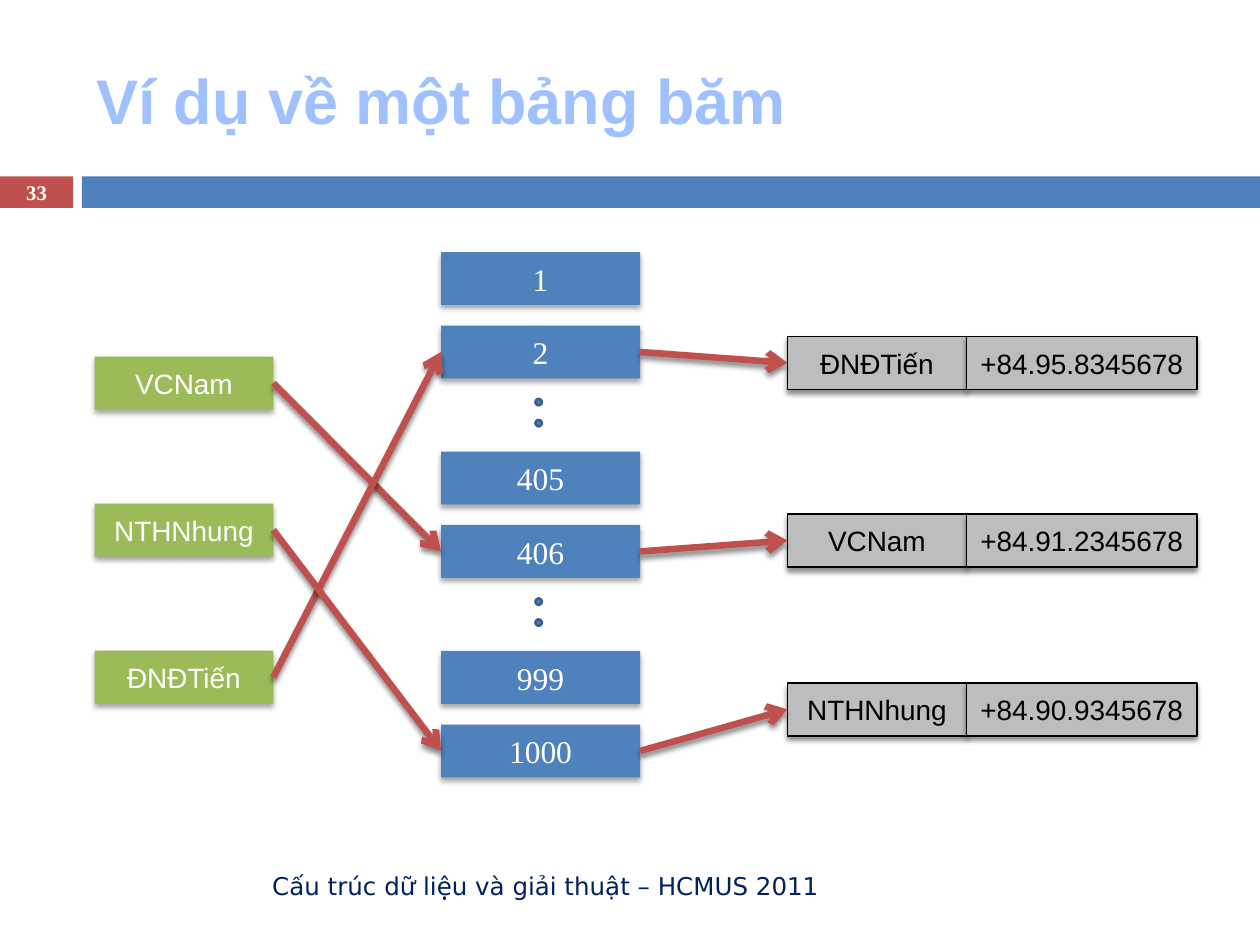
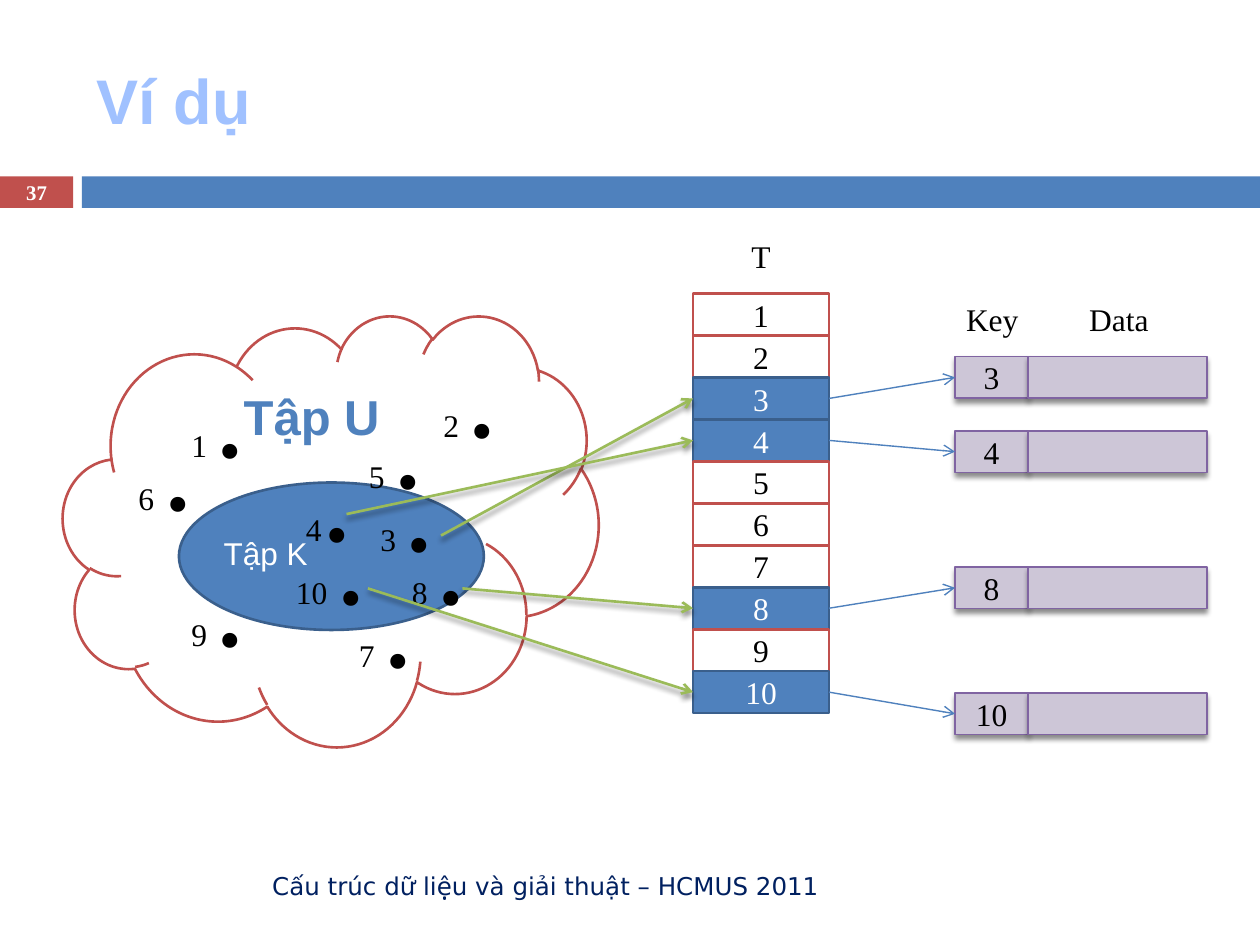
from lxml.etree import SubElement
from pptx import Presentation
from pptx.dml.color import RGBColor
from pptx.enum.shapes import MSO_CONNECTOR as Connector, MSO_SHAPE as Preset
from pptx.enum.text import MSO_ANCHOR as Anchor, PP_ALIGN as Align
from pptx.oxml.ns import qn
from pptx.util import Inches, Pt

COLORS = {
    "blue": "4F81BD", "blue_edge": "3A5F8C", "red": "C0504D", "green": "9BBB59",
    "gray": "BDBDBD", "lilac": "CDC6D7", "purple": "8064A2", "title": "A0C1FF",
    "footer": "002060", "white": "FFFFFF", "black": "000000",
}
SANS, SERIF, FOOTER_FONT = "Arial", "Times New Roman", "DejaVu Sans"
SOFT_SHADOW = {"alpha": 35, "distance": 2}
STRONG_SHADOW = {"alpha": 45, "distance": 2.4}
FOOTER = "Cấu trúc dữ liệu và giải thuật – HCMUS 2011"
RIGHT_SITE, LEFT_SITE = 3, 1
STEP = 1 / 12


def color(name):
    return RGBColor.from_string(COLORS[name])


def assign(target, values):
    for name, value in values.items():
        setattr(target, name, value)


def style(size, ink="black", font=SERIF, bold=False):
    return {"size": size, "ink": ink, "font": font, "bold": bold}


def add_run(paragraph, text, size, ink, font, bold):
    run = paragraph.add_run()
    run.text = text
    assign(run.font, {"size": Pt(size), "name": font, "bold": bold})
    run.font.color.rgb = color(ink)


def write(shape, runs, align=Align.CENTER, **frame_format):
    frame = shape.text_frame
    assign(frame, {"word_wrap": True, "vertical_anchor": Anchor.MIDDLE, **frame_format})
    paragraph = frame.paragraphs[0]
    paragraph.alignment = align
    for text, run_style in runs:
        add_run(paragraph, text, **run_style)


def add_text(slide, box, runs, **options):
    shape = slide.shapes.add_textbox(*map(Inches, box))
    write(shape, runs, **options)


def set_shadow(shape, shadow):
    properties = shape._element.spPr
    effects = properties.find(qn("a:effectLst"))
    if effects is None:
        effects = SubElement(properties, qn("a:effectLst"))
    if shadow:
        outer = SubElement(effects, qn("a:outerShdw"), blurRad=str(Pt(3)),
                           dist=str(Pt(shadow["distance"])), dir="5400000", rotWithShape="0")
        tint = SubElement(outer, qn("a:srgbClr"), val=COLORS["black"])
        SubElement(tint, qn("a:alpha"), val=str(shadow["alpha"] * 1000))


def add_shape(slide, box, fill, edge=None, weight=1.5, preset=Preset.RECTANGLE,
              shadow=None, runs=(), **options):
    shape = slide.shapes.add_shape(preset, *map(Inches, box))
    shape.fill.solid()
    shape.fill.fore_color.rgb = color(fill)
    if edge:
        shape.line.color.rgb = color(edge)
        shape.line.width = Pt(weight)
    else:
        shape.line.fill.background()
    shape.shadow.inherit = False
    set_shadow(shape, shadow)
    if runs:
        write(shape, runs, **options)
    return shape


def add_arrow(slide, target, ink, weight, source=None, start=(0, 0), shadow=None):
    x, y = map(Inches, start)
    arrow = slide.shapes.add_connector(Connector.STRAIGHT, x, y, x, y)
    if source is not None:
        arrow.begin_connect(source, RIGHT_SITE)
    arrow.end_connect(target, LEFT_SITE)
    arrow.line.color.rgb = color(ink)
    arrow.line.width = Pt(weight)
    SubElement(arrow.line._get_or_add_ln(), qn("a:tailEnd"), type="arrow")
    set_shadow(arrow, shadow)


def add_base_slide(presentation, title, number):
    slide = presentation.slides.add_slide(presentation.slide_layouts[6])
    add_shape(slide, (0, 1.4, 0.58, 0.25), "red")
    add_shape(slide, (0.65, 1.4, 9.35, 0.25), "blue")
    add_text(slide, (0.67, 0.25, 8.92, 1.08), [(title, style(36, "title", SANS, True))],
             align=Align.LEFT)
    add_text(slide, (0.67, 6.83, 5.93, 0.4), [(FOOTER, style(14, "footer", FOOTER_FONT))],
             align=Align.RIGHT)
    add_text(slide, (0, 1.39, 0.58, 0.27), [(number, style(11.9, "white", bold=True))])
    return slide


def add_buckets(slide, box, pairs):
    left, top, width, height = box
    group_pitch, pair_pitch = 19 * STEP, 7 * STEP
    buckets = {}
    for index, pair in enumerate(pairs):
        group_top = top + index * group_pitch
        for row, label in enumerate(pair):
            buckets[label] = add_shape(
                slide, (left, group_top + row * pair_pitch, width, height), "blue",
                shadow=SOFT_SHADOW, runs=[(label, style(18, "white"))])
        if index < len(pairs) - 1:
            for row in range(2):
                dot_top = group_top + 14 * STEP + row * 2 * STEP
                add_shape(slide, (left + 0.75, dot_top, 0.05, 0.05), "blue", "blue_edge",
                          preset=Preset.OVAL)
    return buckets


def add_names(slide, box, names):
    left, top, width, height = box
    return {name: add_shape(slide, (left, top + index * 14 * STEP, width, height), "green",
                            shadow=SOFT_SHADOW, runs=[(name, style(16, "white", SANS))])
            for index, name in enumerate(names)}


def add_record(slide, box, key_width, texts, fill, edge, text_style):
    left, top, width, height = box
    cells = [(left, key_width), (left + key_width, width - key_width)]
    key, data = [
        add_shape(slide, (x, top, cell_width, height), fill, edge, 0.79,
                  shadow=STRONG_SHADOW, runs=[(text, text_style)] if text else ())
        for (x, cell_width), text in zip(cells, texts)]
    return key


def build_hash_slide(presentation):
    slide = add_base_slide(presentation, "Ví dụ về một bảng băm", "33")
    buckets = add_buckets(slide, (3.5, 2, 1.58, 0.42),
                          [("1", "2"), ("405", "406"), ("999", "1000")])
    names = add_names(slide, (0.75, 2.83, 1.42, 0.42), ["VCNam", "NTHNhung", "ĐNĐTiến"])
    entries = [
        ("VCNam", "406", "+84.91.2345678", 4.08),
        ("ĐNĐTiến", "2", "+84.95.8345678", 2.67),
        ("NTHNhung", "1000", "+84.90.9345678", 5.42),
    ]
    records = {name: add_record(slide, (6.25, top, 3.25, 0.42), 1.42, (name, phone),
                                "gray", "black", style(16, font=SANS))
               for name, bucket, phone, top in entries}
    for name, bucket, phone, top in entries:
        for source, target in [(names[name], buckets[bucket]),
                               (buckets[bucket], records[name])]:
            add_arrow(slide, target, "red", 3.75, source=source, shadow=STRONG_SHADOW)


def add_sets(slide, box):
    left, top, width, height = box
    add_shape(slide, box, "white", "red", preset=Preset.CLOUD,
              runs=[("Tập U", style(28, "blue", SANS, True))],
              vertical_anchor=Anchor.TOP)
    add_shape(slide, (left + 0.92, top + 1.33, 2.42, 1.17), "blue", "blue_edge",
              preset=Preset.OVAL, runs=[("Tập K", style(18, "white", SANS))],
              align=Align.LEFT, margin_left=0, margin_top=0)
    points = [
        ("1 ", 0.92, 0.08), ("2 ", 2.92, -0.08), ("3 ", 2.42, 0.83), ("10 ", 1.75, 1.25),
        ("9 ", 0.92, 1.58), ("8 ", 2.67, 1.25), ("7 ", 2.25, 1.75), ("6 ", 0.5, 0.5),
        ("5 ", 2.33, 0.33), ("4", 1.83, 0.75),
    ]
    for label, x, y in points:
        point_width = 0.83 if label == "10 " else 0.75
        add_text(slide, (left + x, top + y, point_width, 1.31),
                 [(label, style(18)), (".", style(72))],
                 align=Align.LEFT, vertical_anchor=Anchor.TOP)


def add_slots(slide, box, count, used):
    left, top, width, height = box
    row_height = height / count
    slots = {}
    for key in range(1, count + 1):
        fill, edge, ink = (("blue", "blue_edge", "white") if key in used
                           else ("white", "red", "black"))
        slots[key] = add_shape(
            slide, (left, top + (key - 1) * row_height, width, row_height), fill, edge,
            runs=[(str(key), style(18, ink))])
    return slots


def build_direct_slide(presentation):
    slide = add_base_slide(presentation, "Ví dụ", "37")
    add_sets(slide, (0.5, 2.5, 4.25, 3.42))
    entries = {3: ((3.5, 4.25), 2.83), 10: ((2.92, 4.67), 5.5),
               4: ((2.75, 4.08), 3.42), 8: ((3.67, 4.67), 4.5)}
    slots = add_slots(slide, (5.5, 2.33, 1.08, 3.33), 10, entries)
    records = {key: add_record(slide, (7.58, top, 2, 0.33), 0.58, (str(key), ""),
                               "lilac", "purple", style(18))
               for key, (start, top) in entries.items()}
    for key, (start, top) in entries.items():
        add_arrow(slide, slots[key], "green", 1.5, start=start, shadow=STRONG_SHADOW)
        add_arrow(slide, records[key], "blue", 0.79, source=slots[key])
    for heading, left, top, width in [("T", 5.5, 1.83, 1.08), ("Key", 7.5, 2.33, 0.75),
                                      ("Data", 8.17, 2.33, 1.42)]:
        add_text(slide, (left, top, width, 0.4), [(heading, style(18))],
                 vertical_anchor=Anchor.TOP)


presentation = Presentation()
assign(presentation, {"slide_width": Inches(10), "slide_height": Inches(7.5)})
build_hash_slide(presentation)
build_direct_slide(presentation)
presentation.save("out.pptx")
